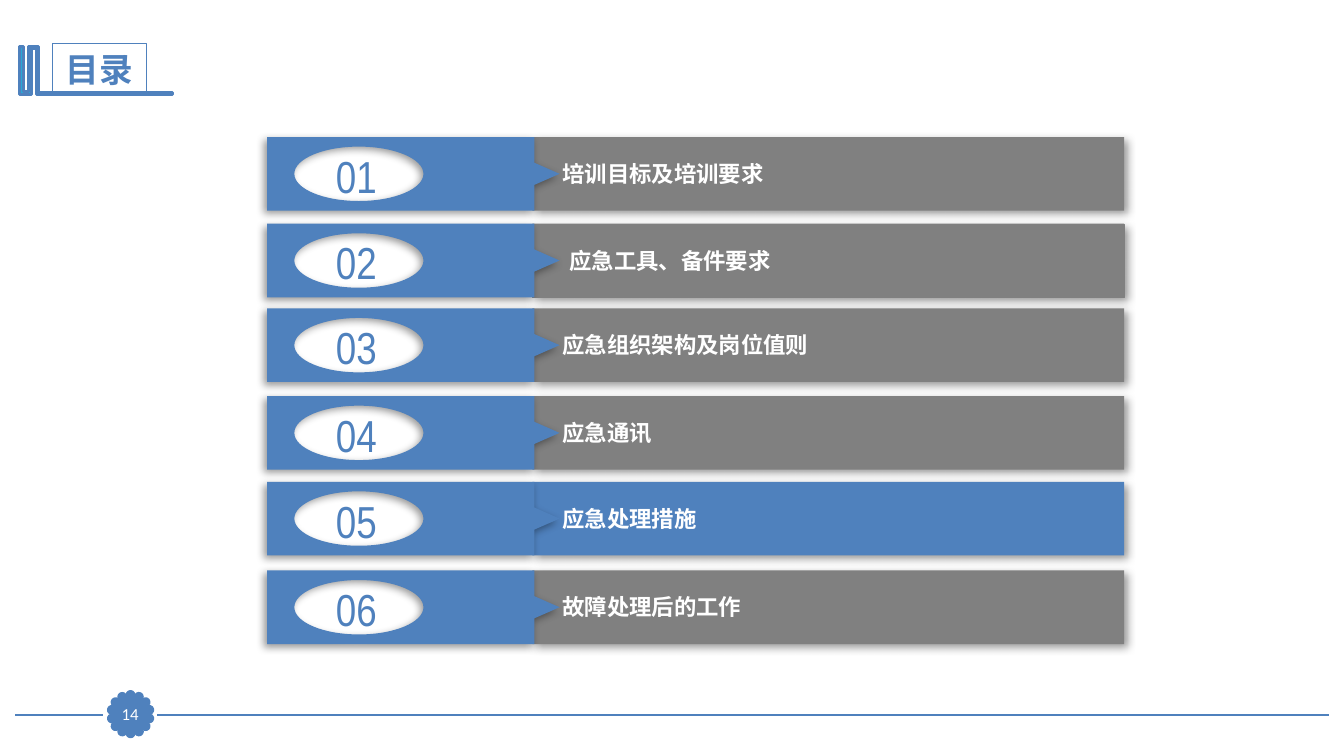
from math import cos, pi, sin

from pptx import Presentation
from pptx.dml.color import RGBColor
from pptx.enum.shapes import MSO_CONNECTOR, MSO_SHAPE
from pptx.enum.text import MSO_ANCHOR, MSO_AUTO_SIZE, PP_ALIGN
from pptx.oxml import parse_xml
from pptx.oxml.ns import nsdecls, qn
from pptx.util import Inches, Pt

BLUE = RGBColor(0x4F, 0x81, 0xBD)
SKY = RGBColor(0x28, 0xA9, 0xD6)
GREY = RGBColor(0x80, 0x80, 0x80)
WHITE = RGBColor(0xFF, 0xFF, 0xFF)
RECT, OVAL = MSO_SHAPE.RECTANGLE, MSO_SHAPE.OVAL
STRAIGHT = MSO_CONNECTOR.STRAIGHT
LEFT, CENTER = PP_ALIGN.LEFT, PP_ALIGN.CENTER
TOP, MIDDLE = MSO_ANCHOR.TOP, MSO_ANCHOR.MIDDLE
GROW, FIXED = MSO_AUTO_SIZE.SHAPE_TO_FIT_TEXT, MSO_AUTO_SIZE.NONE
NARROW, BODY = "Arial Narrow", "Calibri"

# top of the row, left of its text, text, colour of the bar, width of its edge
ROWS = [
    (1.36, 5.48, "培训目标及培训要求", GREY, 0),
    (2.22, 5.55, "应急工具、备件要求", GREY, 0.25),
    (3.06, 5.48, "应急组织架构及岗位值则", GREY, 0),
    (3.93, 5.48, "应急通讯", GREY, 0),
    (4.78, 5.48, "应急处理措施", BLUE, 0),
    (5.66, 5.48, "故障处理后的工作", GREY, 0),
]
BAR = 0.73
DOTS = 14
ARC = 0.5523  # handle length of a quarter circle, as a share of its radius
BOOKS = [
    (0.37, 0.46), (0.38, 0.46), (0.38, 0.92), (1.71, 0.92), (1.71, 0.94),
    (0.37, 0.94), (0.36, 0.94), (0.36, 0.48), (0.31, 0.48), (0.31, 0.94),
    (0.19, 0.94), (0.19, 0.46), (0.23, 0.46), (0.23, 0.91), (0.28, 0.91),
    (0.28, 0.46),
]


def write(shape, text, size, font=BODY, color=WHITE, bold=False,
          align=LEFT, anchor=TOP, fit=GROW, inset=None):
    frame = shape.text_frame
    frame.word_wrap = True
    frame.auto_size = fit
    frame.vertical_anchor = anchor
    if inset is not None:
        frame.margin_left = frame.margin_right = Inches(inset)
        frame.margin_top = frame.margin_bottom = Inches(inset)
    para = frame.paragraphs[0]
    para.alignment = align
    run = para.add_run()
    run.text = text
    run.font.size = Pt(size)
    run.font.name = font
    run.font.bold = bold
    run.font.color.rgb = color


def curve(shape):
    """Turn the straight sides of the last loop, a diamond, into an ellipse."""
    track = shape._element.find(".//" + qn("a:path"))
    start = track.findall(qn("a:moveTo"))[-1]
    sides = [s for s in start.itersiblings() if s.tag == qn("a:lnTo")]
    spots = [(int(s[0].get("x")), int(s[0].get("y"))) for s in [start, *sides]]
    mid = [(a + b) / 2 for a, b in zip(spots[0], spots[2])]
    for side, here, there in zip(sides, spots, spots[1:]):
        leave = [a + ARC * (b - m) for a, b, m in zip(here, there, mid)]
        reach = [b + ARC * (a - m) for a, b, m in zip(here, there, mid)]
        dots = "".join(f'<a:pt x="{round(x)}" y="{round(y)}"/>'
                       for x, y in (leave, reach, there))
        track.replace(side, parse_xml(
            f'<a:cubicBezTo {nsdecls("a")}>{dots}</a:cubicBezTo>'))


class Canvas:
    def __init__(self, shapes, accent):
        self.shapes = shapes
        self.accent = accent

    def group(self):
        return Canvas(self.shapes.add_group_shape().shapes, self.accent)

    def paint(self, shape, fill, line, width, shade):
        """Set fill, outline and, when shade gives its angle, a drop shadow."""
        if fill is None:
            shape.fill.background()
        else:
            shape.fill.solid()
            shape.fill.fore_color.rgb = fill
        if width:
            shape.line.color.rgb = line or self.accent
            shape.line.width = Pt(width)
        else:
            shape.line.fill.background()
        shape.shadow.inherit = False
        if shade is not None:
            effects = shape._element.spPr.find(qn("a:effectLst"))
            effects.append(parse_xml(
                f'<a:outerShdw {nsdecls("a")} blurRad="{Pt(6)}" dist="{Pt(3)}" '
                f'dir="{shade * 60000}" algn="ctr" rotWithShape="0">'
                '<a:srgbClr val="000000"><a:alpha val="40000"/></a:srgbClr>'
                '</a:outerShdw>'))
        return shape

    def shape(self, kind, x, y, w, h, fill=None, line=None, width=0, shade=None):
        item = self.shapes.add_shape(kind, Inches(x), Inches(y), Inches(w), Inches(h))
        return self.paint(item, fill, line, width, shade)

    def outline(self, *loops, fill=None, line=None, width=0, shade=None):
        """Draw closed loops as one shape; an inner loop makes a hole."""
        pen = None
        for loop in loops:
            first, *rest = [(Inches(x), Inches(y)) for x, y in loop]
            if pen is None:
                pen = self.shapes.build_freeform(*first, scale=1.0)
            else:
                pen.move_to(*first)
            pen.add_line_segments(rest, close=True)
        return self.paint(pen.convert_to_shape(), fill, line, width, shade)

    def rule(self, start, end, y, width):
        line = self.shapes.add_connector(
            STRAIGHT, Inches(start), Inches(y), Inches(end), Inches(y))
        line.line.color.rgb = self.accent
        line.line.width = Pt(width)
        line._element.spPr.append(parse_xml(f'<a:effectLst {nsdecls("a")}/>'))

    def text(self, words, x, y, w, h, **style):
        box = self.shapes.add_textbox(Inches(x), Inches(y), Inches(w), Inches(h))
        write(box, words, **style)


def footer(page):
    page.rule(13.18, 1.56, 7.09, 1.25)
    page.rule(1.02, 0.15, 7.09, 1.25)
    flower = page.group()
    for i in range(DOTS):
        turn = 2 * pi * i / DOTS
        dot = flower.shape(OVAL, 1.26 + 0.19 * sin(turn), 7.05 - 0.19 * cos(turn),
                           0.07, 0.07, fill=BLUE, width=2)
        dot.rotation = 360 * i / DOTS


def header(page):
    page.outline(BOOKS, fill=SKY, width=2)
    title = page.shape(RECT, 0.52, 0.43, 0.93, 0.51, width=0.75)
    write(title, "目录", 24, font=NARROW, color=BLUE, bold=True,
          align=CENTER, anchor=MIDDLE)


def badge(page):
    plate = page.shape(RECT, 1.13, 6.93, 0.32, 0.31, fill=BLUE, width=0.75)
    write(plate, "14", 12, align=CENTER, anchor=MIDDLE, fit=FIXED, inset=0)


def entry(list_, index, top, left, words, color, edge):
    """Draw one row of the contents: bar, numbered tab and text."""
    mid, base = top + BAR / 2, top + BAR
    list_.shape(RECT, 5.28, top, 5.87, BAR, fill=color, line=color,
                width=edge, shade=45)
    tab = [(2.65, top), (5.3, top), (5.3, mid - 0.11), (5.55, mid),
           (5.3, mid + 0.11), (5.3, base), (2.65, base)]
    peak = (3.56, mid - 0.27)
    hole = [peak, (2.92, mid), (3.56, mid + 0.27), (4.2, mid), peak]
    curve(list_.outline(tab, hole, fill=BLUE, shade=135))
    list_.text(f"{index:02}", 3.07, top + 0.06, 0.93, 0.64, size=32,
               font=NARROW, color=BLUE, align=CENTER, anchor=MIDDLE)
    list_.text(words, left, top + 0.18, 5.61, 0.37, size=16, bold=True)


def main():
    deck = Presentation()
    deck.slide_width, deck.slide_height = Inches(13.33), Inches(7.5)
    slide = deck.slides.add_slide(deck.slide_layouts[6])
    page = Canvas(slide.shapes, BLUE)
    footer(page)
    header(page)
    badge(page)
    menu = page.group()
    for index, row in enumerate(ROWS, 1):
        entry(menu, index, *row)
    deck.save("out.pptx")


if __name__ == "__main__":
    main()
